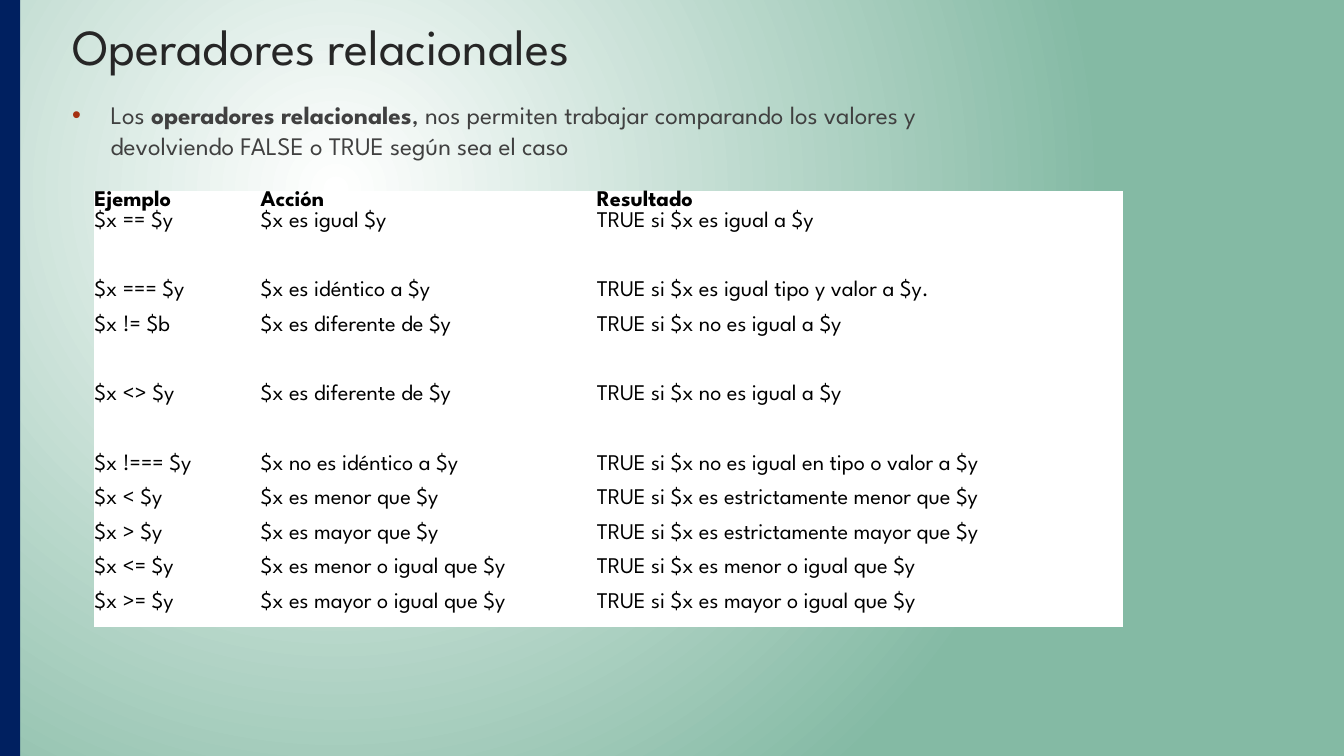
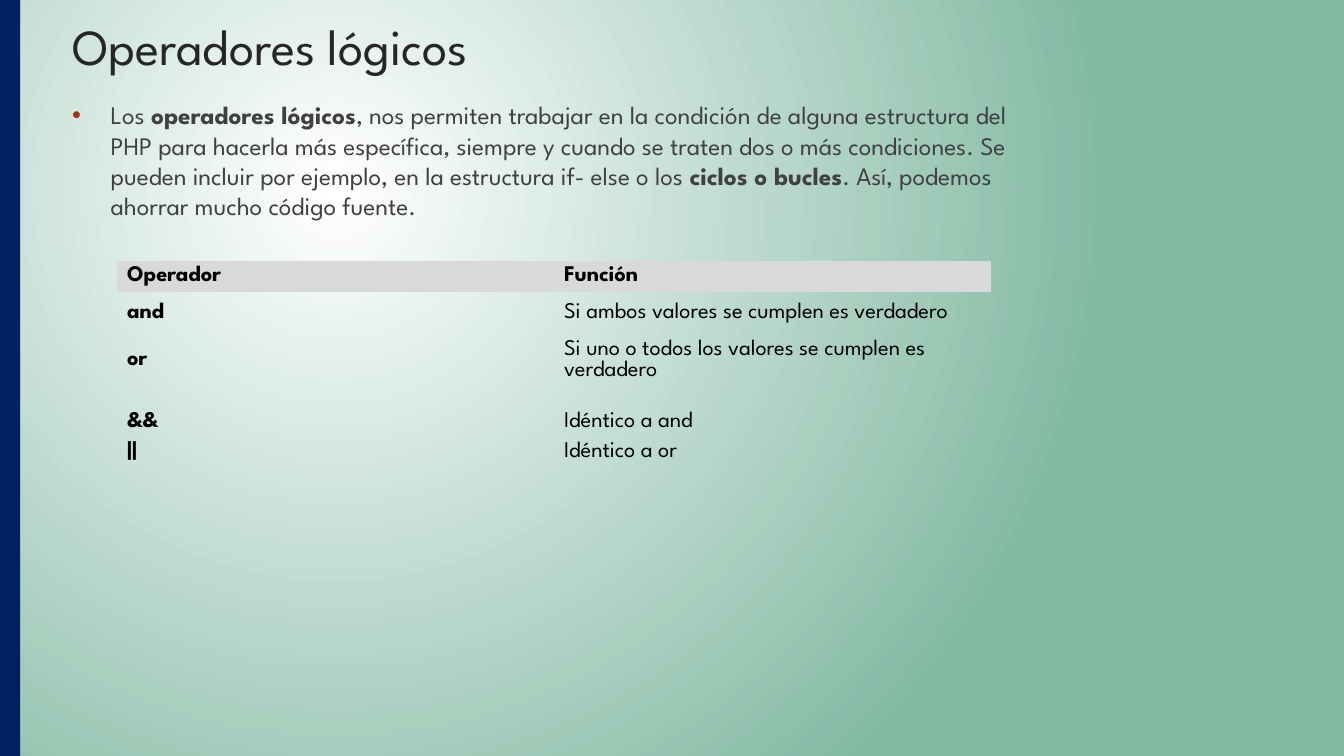
"""Build two slides on relational and logical operators in PHP."""
from dataclasses import dataclass

from lxml.etree import SubElement
from pptx import Presentation
from pptx.dml.color import RGBColor
from pptx.enum.shapes import MSO_SHAPE
from pptx.enum.text import MSO_ANCHOR, MSO_AUTO_SIZE, PP_ALIGN
from pptx.oxml.ns import qn
from pptx.util import Cm, Pt


@dataclass(frozen=True)
class Theme:
    """Colours, type and spacing shared by the slides."""
    font: str = "League Spartan"
    glow: str = "FFFFFF"
    green: str = "84BAA4"
    navy: str = "002060"
    title_ink: str = "262626"
    body_ink: str = "404040"
    table_ink: str = "000000"
    bullet: str = "A53010"
    white: str = "FFFFFF"
    grey: str = "D9D9D9"
    title_size: int = 36
    body_size: int = 18
    table_size: int = 16
    table_leading: float = 14.6
    plain_table: str = "{2D5ABB26-0587-4C30-8999-92F81FD0307C}"


THEME = Theme()
WIDTH, HEIGHT = Cm(33.87), Cm(19.05)
TEXT_LEFT, TEXT_WIDTH = Cm(1.57), Cm(24.77)

RELATIONAL = [
    ("Ejemplo", "Acción", "Resultado"),
    ("$x == $y", "$x es igual $y", "TRUE si $x es igual a $y"),
    ("$x === $y", "$x es idéntico a $y", "TRUE si $x es igual tipo y valor a $y."),
    ("$x != $b", "$x es diferente de $y", "TRUE si $x no es igual a $y"),
    ("$x <> $y", "$x es diferente de $y", "TRUE si $x no es igual a $y"),
    ("$x !=== $y", "$x no es idéntico a $y", "TRUE si $x no es igual en tipo o valor a $y"),
    ("$x < $y", "$x es menor que $y", "TRUE si $x es estrictamente menor que $y"),
    ("$x > $y", "$x es mayor que $y", "TRUE si $x es estrictamente mayor que $y"),
    ("$x <= $y", "$x es menor o igual que $y", "TRUE si $x es menor o igual que $y"),
    ("$x >= $y", "$x es mayor o igual que $y", "TRUE si $x es mayor o igual que $y"),
]
LOGICAL = [
    ("Operador", "Función"),
    ("and", "Si ambos valores se cumplen es verdadero"),
    ("or", "Si uno o todos los valores se cumplen es verdadero"),
    ("&&", "Idéntico a and"),
    ("||", "Idéntico a or"),
]


def apply(target, values):
    """Set every attribute named in values on the target."""
    for name, value in values.items():
        setattr(target, name, value)


def add_run(paragraph, text, size, ink, bold=False):
    """Append a run in the theme font."""
    run = paragraph.add_run()
    run.text = text
    apply(run.font, {"name": THEME.font, "size": Pt(size), "bold": bold})
    run.font.color.rgb = RGBColor.from_string(ink)


def paint_background(master):
    """Give the master a circular gradient centred at the upper left."""
    fill = master.background.fill
    fill.gradient()
    for stop, colour in zip(fill.gradient_stops, (THEME.glow, THEME.green)):
        stop.color.rgb = RGBColor.from_string(colour)
    gradient = master.element.find(".//" + qn("a:gradFill"))
    gradient.remove(gradient.find(qn("a:lin")))
    circle = SubElement(gradient, qn("a:path"), {"path": "circle"})
    SubElement(circle, qn("a:fillToRect"),
               {"l": "50000", "t": "50000", "r": "100000", "b": "100000"})


def add_band(slide):
    """Draw the band along the left edge."""
    band = slide.shapes.add_shape(MSO_SHAPE.RECTANGLE, 0, 0, Cm(0.51), HEIGHT)
    band.shadow.inherit = False
    band.fill.solid()
    band.fill.fore_color.rgb = RGBColor.from_string(THEME.navy)
    band.line.fill.background()


def add_title(slide, text):
    """Place and format the title placeholder."""
    title = slide.shapes.title
    apply(title, {"left": TEXT_LEFT, "top": Cm(0.25), "width": TEXT_WIDTH, "height": Cm(3.56)})
    apply(title.text_frame, {"auto_size": MSO_AUTO_SIZE.NONE, "word_wrap": True,
                             "vertical_anchor": MSO_ANCHOR.TOP})
    heading = title.text_frame.paragraphs[0]
    heading.alignment = PP_ALIGN.LEFT
    add_run(heading, text, THEME.title_size, THEME.title_ink)


def add_bullet(slide, text):
    """Add a bulleted paragraph whose parts between double asterisks are bold."""
    box = slide.shapes.add_textbox(TEXT_LEFT, Cm(2.39), TEXT_WIDTH, Cm(10.49))
    box.text_frame.word_wrap = True
    item = box.text_frame.paragraphs[0]
    properties = item._p.get_or_add_pPr()
    properties.set("marL", str(Cm(0.97)))
    properties.set("indent", str(-Cm(0.97)))
    colour = SubElement(properties, qn("a:buClr"))
    SubElement(colour, qn("a:srgbClr"), {"val": THEME.bullet})
    SubElement(properties, qn("a:buFont"), {"typeface": "Arial"})
    SubElement(properties, qn("a:buChar"), {"char": "•"})
    for position, part in enumerate(text.split("**")):
        add_run(item, part, THEME.body_size, THEME.body_ink, bold=position % 2 == 1)


def add_table(slide, rows, left, top, widths, heights, header_fill,
              body_fill=None, bold_first=False, cell_format=None):
    """Add a borderless table with a bold header row and return it."""
    table = slide.shapes.add_table(len(rows), len(widths), left, top,
                                   sum(widths), sum(heights)).table
    apply(table, {"first_row": False, "horz_banding": False})
    table._tbl.tblPr.find(qn("a:tableStyleId")).text = THEME.plain_table
    for column, width in zip(table.columns, widths):
        column.width = width
    for r, (row, height) in enumerate(zip(rows, heights)):
        table.rows[r].height = height
        fill = body_fill if r else header_fill
        for c, text in enumerate(row):
            cell = table.cell(r, c)
            apply(cell, cell_format or {})
            if fill:
                cell.fill.solid()
                cell.fill.fore_color.rgb = RGBColor.from_string(fill)
            else:
                cell.fill.background()
            entry = cell.text_frame.paragraphs[0]
            entry.line_spacing = Pt(THEME.table_leading)
            add_run(entry, text, THEME.table_size, THEME.table_ink,
                    bold=r == 0 or (bold_first and c == 0))
    return table


def add_operator_slide(deck, title, text):
    """Add a slide with the band, a title and an introduction."""
    slide = deck.slides.add_slide(deck.slide_layouts.get_by_name("Title Only"))
    add_band(slide)
    add_title(slide, title)
    add_bullet(slide, text)
    return slide


def main():
    """Build and save the deck."""
    deck = Presentation()
    apply(deck, {"slide_width": WIDTH, "slide_height": HEIGHT})
    paint_background(deck.slide_master)

    relational = add_operator_slide(
        deck, "Operadores relacionales",
        "Los **operadores relacionales**, nos permiten trabajar comparando los valores "
        "y devolviendo FALSE o TRUE según sea el caso")
    single, double = Cm(0.87), Cm(1.75)
    add_table(relational, RELATIONAL, Cm(2.38), Cm(4.82),
              [Cm(4.19), Cm(8.47), Cm(13.26)],
              [Cm(0.28), double, single, double, double] + [single] * 5,
              THEME.white, THEME.white,
              cell_format=dict.fromkeys(
                  ("margin_left", "margin_top", "margin_right", "margin_bottom"), 0))

    logical = add_operator_slide(
        deck, "Operadores lógicos",
        "Los **operadores lógicos**, nos permiten trabajar en la condición de alguna "
        "estructura del PHP para hacerla más específica, siempre y cuando se traten dos o "
        "más condiciones. Se pueden incluir por ejemplo, en la estructura if- else o los "
        "**ciclos o bucles**. Así, podemos ahorrar mucho código fuente.")
    short, tall = Cm(0.61), Cm(1.09)
    functions = add_table(logical, LOGICAL, Cm(2.95), Cm(6.58), [Cm(11.01)] * 2,
                          [short, tall, tall, short, short], THEME.grey, bold_first=True,
                          cell_format={"vertical_anchor": MSO_ANCHOR.MIDDLE})
    for cell in functions.rows[3].cells:
        cell.margin_top = Cm(0.65)

    deck.save("out.pptx")


if __name__ == "__main__":
    main()
